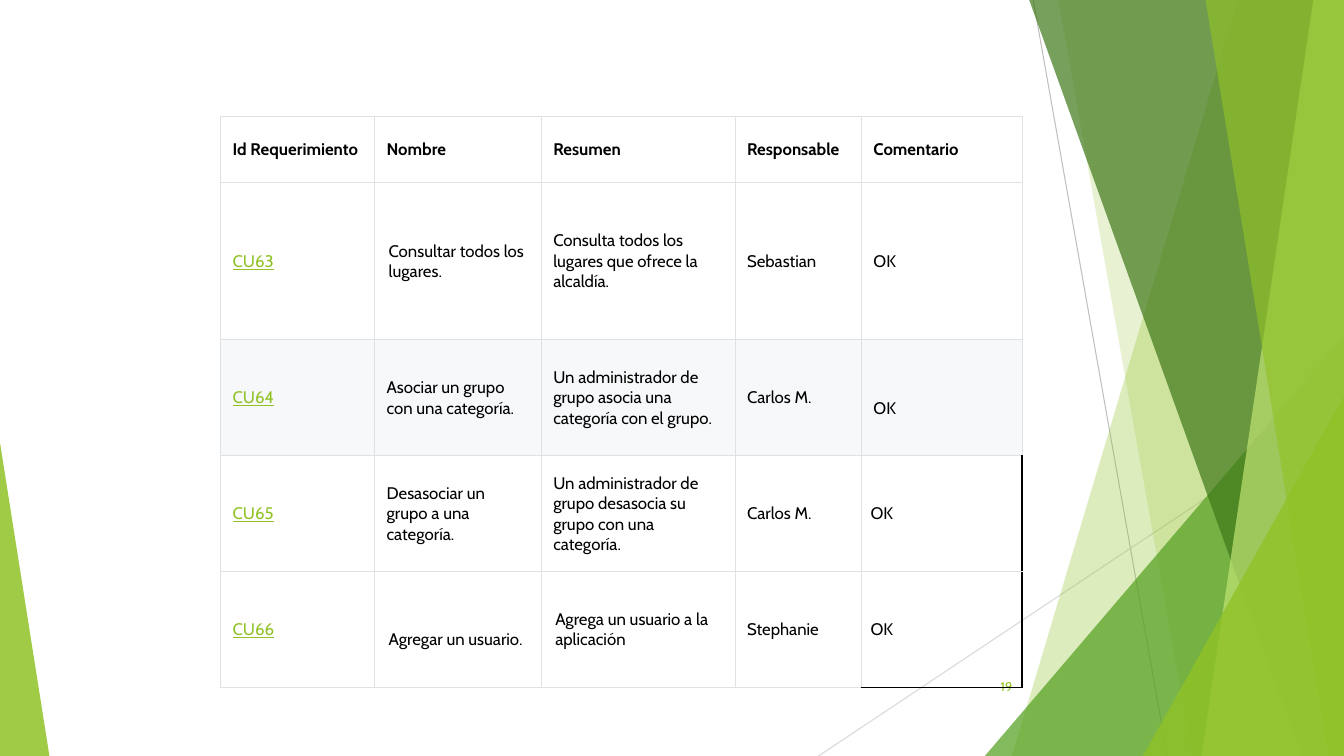
from lxml.etree import SubElement
from pptx import Presentation
from pptx.dml.color import RGBColor
from pptx.enum.shapes import MSO_CONNECTOR, MSO_SHAPE
from pptx.enum.text import MSO_ANCHOR, PP_ALIGN
from pptx.oxml.ns import qn
from pptx.util import Inches, Pt

GREEN, PALE, BLACK, WHITE = "90C226", "DFE2E5", "000000", "FFFFFF"


def tint(code):
    return RGBColor.from_string(code)


def assign(target, values):
    for name, value in values.items():
        setattr(target, name, value)


class Deck:
    """Holds the style and the slide; lengths are percent of its size."""
    font = {"name": "Cabin", "size": Pt(12), "bold": False, "underline": False}

    def __init__(self):
        self.file = Presentation()
        assign(self.file, {"slide_width": Inches(13.333), "slide_height": Inches(7.5)})
        self.slide = self.file.slides.add_slide(self.file.slide_layouts[6])
        self.shapes = self.slide.shapes

    def wide(self, share):
        return round(self.file.slide_width * share / 100)

    def high(self, share):
        return round(self.file.slide_height * share / 100)

    def box(self, left, top, width, height):
        return self.wide(left), self.high(top), self.wide(width), self.high(height)

    def line(self, start, end, color):
        ends = [f(v) for x, y in (start, end) for f, v in ((self.wide, x), (self.high, y))]
        link = self.shapes.add_connector(MSO_CONNECTOR.STRAIGHT, *ends)
        link.line.color.rgb = tint(color)
        link.line.width = Pt(0.75)
        SubElement(link._element.spPr, qn("a:effectLst"))

    def paint(self, shape, color, solid):
        shape.shadow.inherit = False
        shape.fill.solid()
        shape.fill.fore_color.rgb = tint(color)
        shape.line.fill.background()
        code = shape._element.spPr.find(".//" + qn("a:srgbClr"))
        SubElement(code, qn("a:alpha"), val=str(solid * 1000))

    def band(self, top, foot, right, color, solid):
        """A band from two points on the top edge to two on the bottom edge."""
        points = [(top, 0), (right, 0), (right, 100), (foot, 100)]
        first, *rest = [(self.wide(x), self.high(y)) for x, y in points]
        form = self.shapes.build_freeform(*first, scale=1)
        form.add_line_segments(rest, close=True)
        self.paint(form.convert_to_shape(), color, solid)

    def wedge(self, left, top, width, tip, color, solid):
        """A triangle that stands on the bottom edge."""
        place = self.box(left, top, width, 100 - top)
        shape = self.shapes.add_shape(MSO_SHAPE.ISOSCELES_TRIANGLE, *place)
        shape.adjustments[0] = tip
        self.paint(shape, color, solid)

    def words(self, frame, text, color=BLACK, align=PP_ALIGN.LEFT, **style):
        para = frame.paragraphs[0]
        para.alignment = align
        run = para.add_run()
        run.text = text
        assign(run.font, {**self.font, **style})
        run.font.color.rgb = tint(color)

    def label(self, place, text, **style):
        frame = self.shapes.add_textbox(*self.box(*place)).text_frame
        assign(frame, {"word_wrap": True, "vertical_anchor": MSO_ANCHOR.MIDDLE})
        self.words(frame, text, **style)

    def edge(self, cell, side, color, width):
        line = SubElement(cell._tc.get_or_add_tcPr(), qn("a:ln" + side), w=str(Pt(width)))
        fill = SubElement(line, qn("a:solidFill"))
        SubElement(fill, qn("a:srgbClr"), val=color)

    def cell(self, cell, text, pad, fill, edges, **style):
        side, end, drop = pad
        assign(cell, {
            "margin_left": self.wide(side), "margin_right": self.wide(side),
            "margin_top": self.high(end + drop), "margin_bottom": self.high(end),
            "vertical_anchor": MSO_ANCHOR.MIDDLE,
        })
        for name in "LRTB":
            self.edge(cell, name, *edges.get(name, (PALE, 0.75)))
        if fill:
            cell.fill.solid()
            cell.fill.fore_color.rgb = tint(fill)
        else:
            cell.fill.background()
        self.words(cell.text_frame, text, **style)

    def table(self, left, top, cols, rows, data, pads, fills, edges):
        place = self.box(left, top, sum(cols), sum(rows))
        table = self.shapes.add_table(len(rows), len(cols), *place).table
        assign(table, {"first_row": False, "horz_banding": False})
        for col, share in zip(table.columns, cols):
            col.width = self.wide(share)
        for row, share in zip(table.rows, rows):
            row.height = self.high(share)
        for r, line in enumerate(data):
            for c, text in enumerate(line):
                style = {"bold": r == 0}
                if r and c == 0:
                    style.update(color=GREEN, underline=True)
                spot = r, c
                fill = fills.get(spot, "F6F8FA" if r == 2 else WHITE)
                self.cell(table.cell(r, c), text, pads.get(spot, (0.9, 0.67, 0)),
                          fill, edges.get(spot, {}), **style)


def main():
    deck = Deck()

    # Thin lines and green facets
    deck.line((76.88, 0), (86.85, 100), "BFBFBF")
    deck.line((100, 53.73), (60.9, 100), "D9D9D9")
    deck.band(92.1, 75.3, 100, GREEN, 30)
    deck.band(78.75, 88.72, 100, GREEN, 20)
    deck.wedge(73.28, 44.4, 26.72, 1, "54A021", 72)
    deck.band(76.58, 96.83, 100, "3F7819", 70)
    deck.band(97.72, 89.4, 100, "C0E474", 70)
    deck.band(89.7, 98.85, 100, GREEN, 65)
    deck.wedge(85.05, 52.4, 14.95, 1, GREEN, 80)
    deck.wedge(0, 58.53, 3.68, 0, GREEN, 85)

    # Slide number
    deck.label((70.43, 88.13, 5.63, 5.33), "19", color=GREEN,
               align=PP_ALIGN.RIGHT, size=Pt(9))

    # Table of use cases
    data = [
        ("Id Requerimiento", "Nombre", "Resumen", "Responsable", "Comentario"),
        ("CU63", "Consultar todos los lugares.",
         "Consulta todos los lugares que ofrece la alcaldía.", "Sebastian", "OK"),
        ("CU64", "Asociar un grupo con una categoría.",
         "Un administrador de grupo asocia una categoría con el grupo.", "Carlos M.", "OK"),
        ("CU65", "Desasociar un grupo a una categoría.",
         "Un administrador de grupo desasocia su grupo con una categoría.",
         "Carlos M.", "OK"),
        ("CU66", "Agregar un usuario.", "Agrega un usuario a la aplicación",
         "Stephanie", "OK"),
    ]
    # Pads are side, end and extra drop of the text
    loose, tight = (1.05, 0.8, 0), (0.68, 0.53, 0)
    pads = {(1, 1): loose, (4, 2): loose, (3, 4): tight, (4, 4): tight,
            (2, 4): (0.9, 0.67, 2.7), (4, 1): (1.05, 0.8, 2.7)}
    dark = {"R": (BLACK, 1)}
    edges = {(3, 4): dark, (4, 4): {**dark, "B": (BLACK, 1.5)}}
    deck.table(16.41, 15.37, (11.46, 12.4, 14.42, 9.41, 11.95),
               (8.8, 20.8, 15.33, 15.33, 15.33), data, pads,
               {(3, 4): None, (4, 4): None}, edges)

    deck.file.save("out.pptx")


if __name__ == "__main__":
    main()
